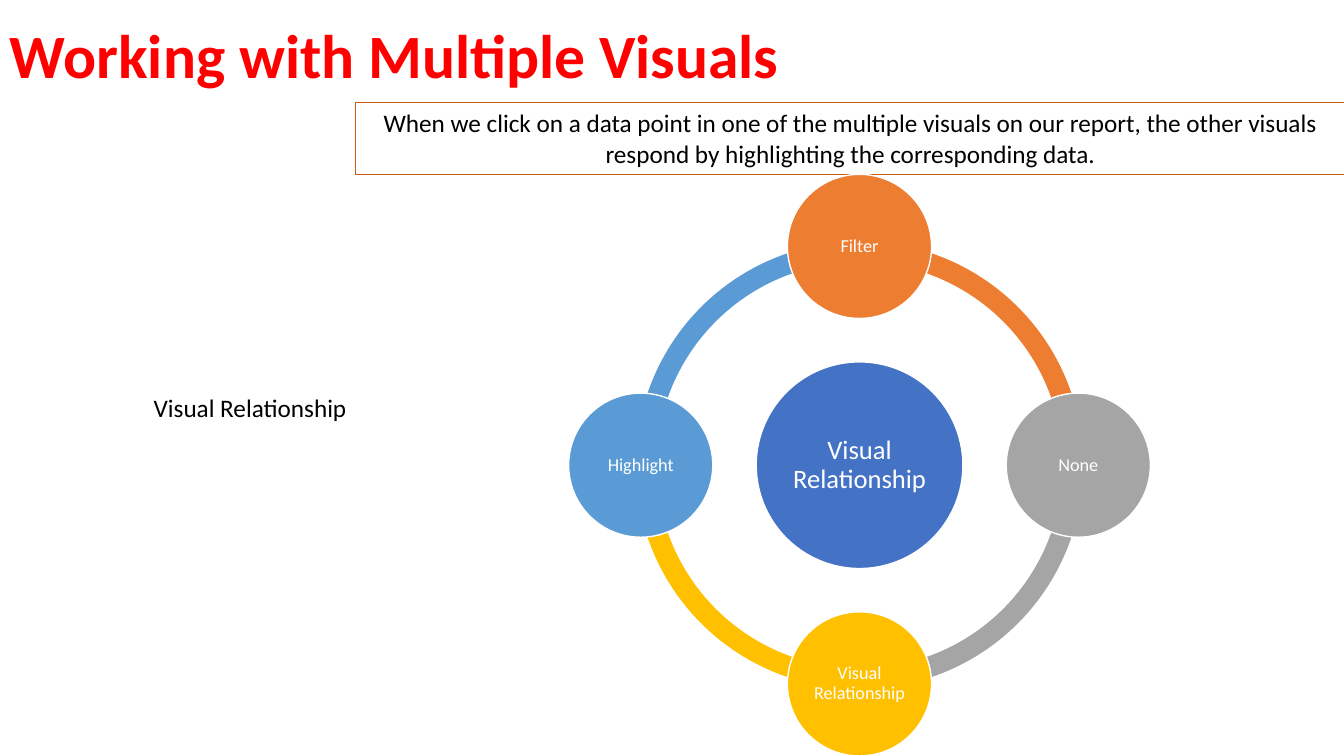
import math

import pptx
import pptx.dml.color
import pptx.enum.shapes
import pptx.enum.text
import pptx.util

Inches = pptx.util.Inches
SHAPE = pptx.enum.shapes.MSO_SHAPE
ALIGN = pptx.enum.text.PP_ALIGN
ANCHOR = pptx.enum.text.MSO_ANCHOR

COLORS = {
    "red": "FF0000",
    "black": "000000",
    "white": "FFFFFF",
    "rust": "C55A11",
    "blue": "4472C4",
    "orange": "ED7D31",
    "gray": "A5A5A5",
    "gold": "FFC000",
    "sky": "5B9BD5",
}


def rgb(name):
    return pptx.dml.color.RGBColor.from_string(COLORS[name])


def write(sp, text, size=18, color="black", bold=False, align=ALIGN.CENTER,
          anchor=ANCHOR.TOP, spacing=None, inset=None, font="Calibri"):
    tf = sp.text_frame
    tf.word_wrap = True
    tf.vertical_anchor = anchor
    if inset is not None:
        tf.margin_left = tf.margin_right = Inches(inset)
        tf.margin_top = tf.margin_bottom = Inches(inset)
    p = tf.paragraphs[0]
    p.alignment = align
    if spacing:
        p.line_spacing = spacing
    r = p.add_run()
    r.text = text
    r.font.name = font
    r.font.size = pptx.util.Pt(size)
    r.font.bold = bold
    r.font.color.rgb = rgb(color)


class Deck:
    """Draws styled elements on the current slide."""

    def __init__(self, width, height):
        self.prs = pptx.Presentation()
        self.prs.slide_width = Inches(width)
        self.prs.slide_height = Inches(height)
        self.slide = self.prs.slides.add_slide(self.prs.slide_layouts[6])

    def shape(self, kind, box, fill=None, line=None, weight=1):
        sp = self.slide.shapes.add_shape(kind, *map(Inches, box))
        sp.shadow.inherit = False
        if fill:
            sp.fill.solid()
            sp.fill.fore_color.rgb = rgb(fill)
        else:
            sp.fill.background()
        if line:
            sp.line.color.rgb = rgb(line)
            sp.line.width = pptx.util.Pt(weight)
        else:
            sp.line.fill.background()
        return sp

    def text(self, box, text, **style):
        write(self.slide.shapes.add_textbox(*map(Inches, box)), text, **style)

    def framed_text(self, box, text, line):
        write(self.shape(SHAPE.RECTANGLE, box, line=line, weight=0.75), text)

    def arc(self, cx, cy, size, start, fill):
        box = (cx - size / 2, cy - size / 2, size, size)
        sp = self.shape(SHAPE.BLOCK_ARC, box, fill)
        full_turn = 216
        sp.adjustments[0] = start
        sp.adjustments[1] = (start + full_turn / 4) % full_turn
        sp.adjustments[2] = 0.046

    def circle(self, cx, cy, size, fill, text, font_size, inset):
        box = (cx - size / 2, cy - size / 2, size, size)
        sp = self.shape(SHAPE.OVAL, box, fill, line="white")
        write(sp, text, size=font_size, color="white", anchor=ANCHOR.MIDDLE,
              spacing=0.9, inset=inset)


def main():
    deck = Deck(13.33, 7.5)
    deck.text((0, 0, 13.21, 1.16), "Working with Multiple Visuals", size=44,
              color="red", bold=True, align=ALIGN.JUSTIFY,
              anchor=ANCHOR.MIDDLE, spacing=0.9)
    deck.framed_text(
        (3.53, 1.02, 9.81, 0.71),
        "When we click on a data point in one of the multiple visuals on our "
        "report, the other visuals respond by highlighting the corresponding "
        "data.", "rust")

    cx, cy, radius = 8.525, 4.615, 2.17
    nodes = [("Filter", "orange"), ("None", "gray"),
             ("Visual Relationship", "gold"), ("Highlight", "sky")]
    for i, (label, color) in reversed(list(enumerate(nodes))):
        deck.arc(cx, cy, 4.44, (162 + 54 * i) % 216, color)
    deck.circle(cx, cy, 2.05, "blue", "Visual Relationship", 19, 0.03)
    for i, (label, color) in enumerate(nodes):
        angle = math.tau * i / len(nodes)
        deck.circle(cx + radius * math.sin(angle),
                    cy - radius * math.cos(angle),
                    1.43, color, label, 13, 0.02)

    deck.text((0, 3.84, 4.96, 0.4), "Visual Relationship")
    deck.prs.save("out.pptx")


if __name__ == "__main__":
    main()
